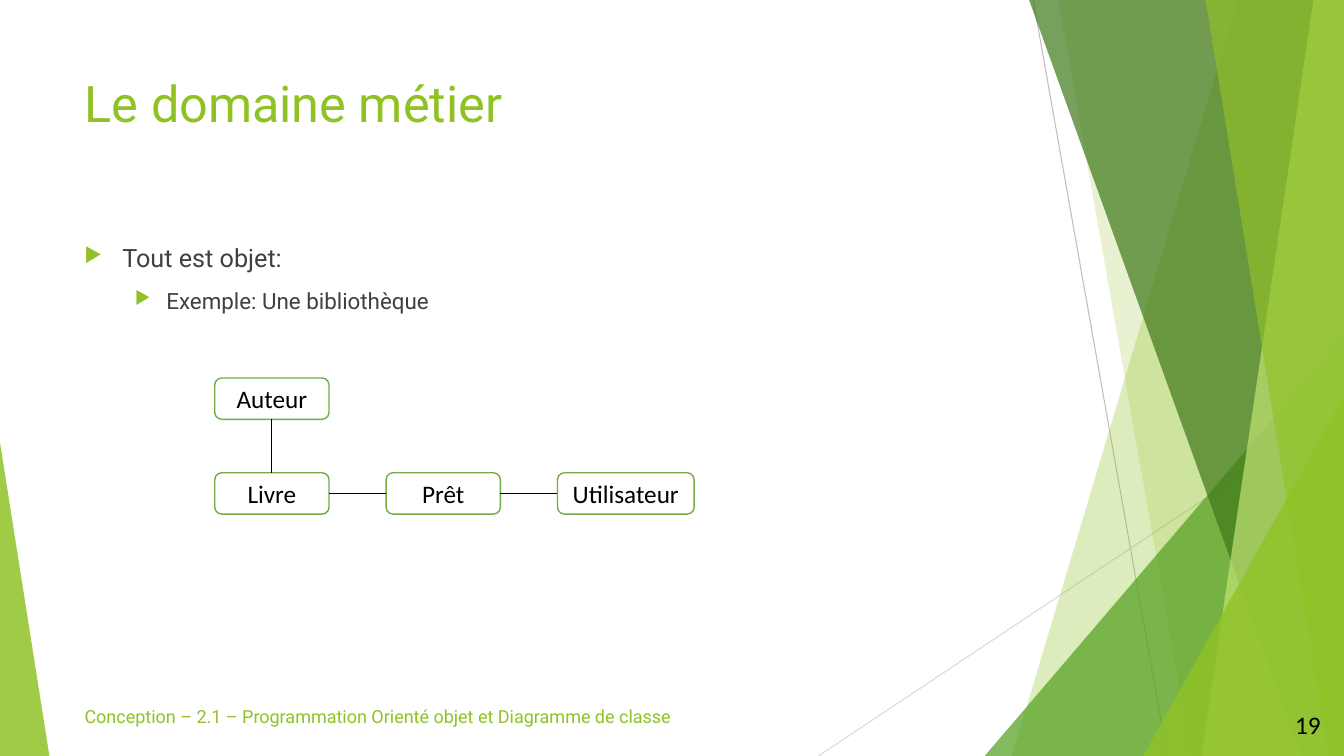
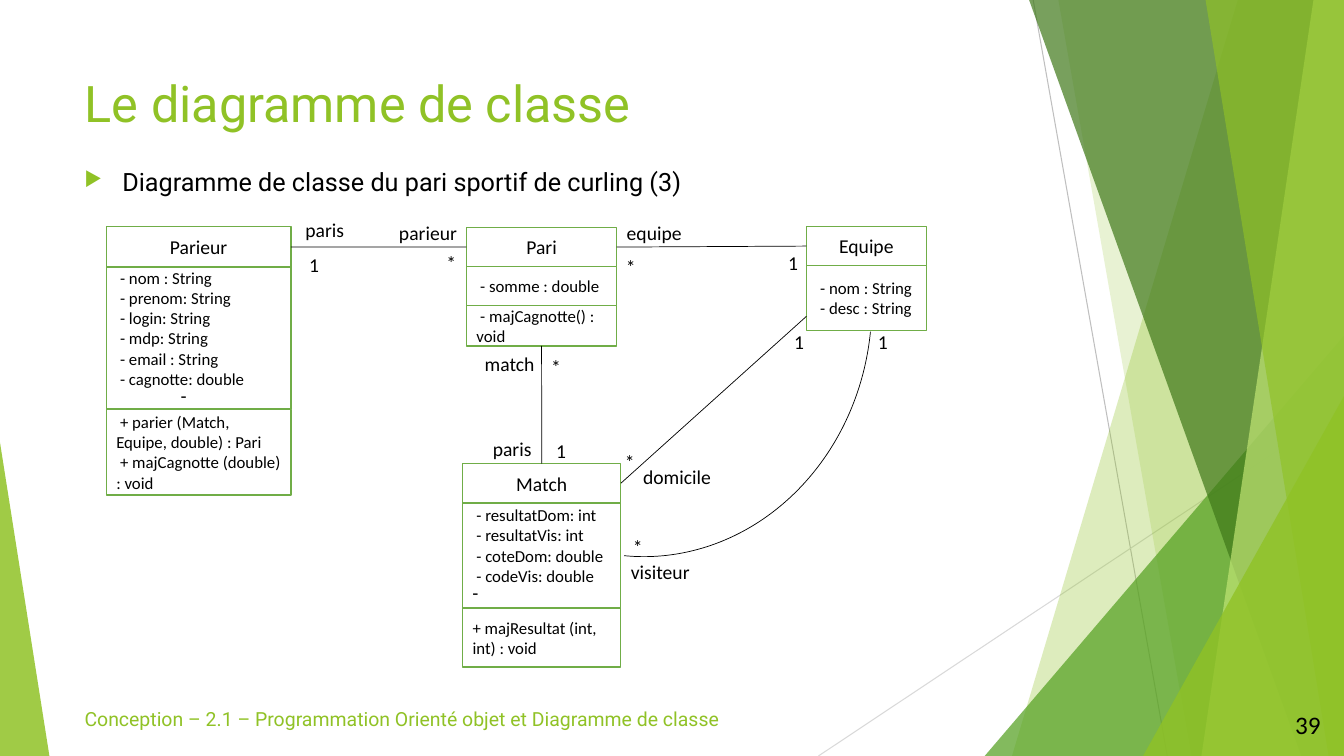
from lxml import etree
from pptx import Presentation
from pptx.dml.color import RGBColor
from pptx.enum.shapes import MSO_CONNECTOR, MSO_SHAPE
from pptx.enum.text import MSO_ANCHOR, PP_ALIGN
from pptx.oxml.ns import qn
from pptx.util import Pt

STRAIGHT = MSO_CONNECTOR.STRAIGHT
RECT, ROUNDED, ARC = MSO_SHAPE.RECTANGLE, MSO_SHAPE.ROUNDED_RECTANGLE, MSO_SHAPE.ARC
TOP, MIDDLE = MSO_ANCHOR.TOP, MSO_ANCHOR.MIDDLE
LEFT, CENTER, RIGHT = PP_ALIGN.LEFT, PP_ALIGN.CENTER, PP_ALIGN.RIGHT
SIDE_TOP, SIDE_LEFT, SIDE_BOTTOM, SIDE_RIGHT = range(4)

GREEN = RGBColor(0x90, 0xC2, 0x26)
MID_GREEN = RGBColor(0x54, 0xA0, 0x21)
DARK_GREEN = RGBColor(0x3F, 0x78, 0x19)
PALE_GREEN = RGBColor(0xC0, 0xE4, 0x74)
BOX_GREEN = RGBColor(0x70, 0xAD, 0x47)
WHITE = RGBColor(0xFF, 0xFF, 0xFF)
BLACK = RGBColor(0, 0, 0)
TEXT_GREY = RGBColor(0x40, 0x40, 0x40)
LINE_GREY = RGBColor(0xBF, 0xBF, 0xBF)
LIGHT_GREY = RGBColor(0xD9, 0xD9, 0xD9)

HEADING, PLAIN = "Roboto", "Calibri"
W, H = 960, 540
FOOTER = "Conception – 2.1 – Programmation Orienté objet et Diagramme de classe"

# x at the top, y at the top, x at the bottom, colour, opacity in %
RIGHT_BANDS = [
    (884.2, 0, 722.9, GREEN, 30),
    (756, 0, 851, GREEN, 20),
    (W, 239.8, 703.4, MID_GREEN, 72),
    (735.1, 0, 929.5, DARK_GREEN, 70),
    (938.2, 0, 858.2, PALE_GREEN, 70),
    (861.1, 0, 949, GREEN, 65),
    (W, 283, 816.5, GREEN, 80),
]


def points(*values):
    return [Pt(v) for v in values]


def add_run(p, text, size, font=PLAIN, color=BLACK):
    r = p.add_run()
    r.text = text
    r.font.size, r.font.name = Pt(size), font
    r.font.color.rgb = color


def add_bullet(p, char, color, left, hanging, percent=100):
    pPr = p._p.get_or_add_pPr()
    pPr.set("marL", str(Pt(left)))
    pPr.set("indent", str(-Pt(hanging)))
    clr = etree.SubElement(pPr, qn("a:buClr"))
    etree.SubElement(clr, qn("a:srgbClr"), val=str(color))
    etree.SubElement(pPr, qn("a:buSzPct"), val=str(percent * 1000))
    etree.SubElement(pPr, qn("a:buChar"), char=char)


def add_text_box(s, box, anchor=TOP):
    tf = s.shapes.add_textbox(*points(*box)).text_frame
    tf.word_wrap, tf.vertical_anchor = True, anchor
    return tf


def add_box(s, kind, box):
    """Add a white box with a green outline, ready for text."""
    sp = s.shapes.add_shape(kind, *points(*box))
    sp.shadow.inherit = False
    sp.fill.solid()
    sp.fill.fore_color.rgb = WHITE
    sp.line.color.rgb, sp.line.width = BOX_GREEN, Pt(1)
    sp.text_frame.word_wrap = True
    sp.text_frame.vertical_anchor = MIDDLE
    return sp


def add_line(s, x1=0, y1=0, x2=0, y2=0, color=BLACK, width=0.5):
    line = s.shapes.add_connector(STRAIGHT, *points(x1, y1, x2, y2))
    line.line.color.rgb, line.line.width = color, Pt(width)
    etree.SubElement(line.element.spPr, qn("a:effectLst"))
    return line


def join(s, first, first_side, second, second_side):
    line = add_line(s)
    line.begin_connect(first, first_side)
    line.end_connect(second, second_side)


def add_polygon(s, corners, color, opacity):
    start, *others = [points(*c) for c in corners]
    builder = s.shapes.build_freeform(*start)
    builder.add_line_segments(others)
    sp = builder.convert_to_shape()
    sp.shadow.inherit = False
    sp.fill.solid()
    sp.fill.fore_color.rgb = color
    sp.line.fill.background()
    clr = sp.element.xpath("./p:spPr/a:solidFill/a:srgbClr")[0]
    etree.SubElement(clr, qn("a:alpha"), val=str(opacity * 1000))
    return sp


def decorate_layout(layout, s):
    """Draw the green bands with slide s, then move them to its layout."""
    parts = [add_line(s, 738, 0, 833.8, H, LINE_GREY, 0.75),
             add_line(s, W, 290.2, 584.6, H, LIGHT_GREY, 0.75)]
    for x_top, y_top, x_bottom, color, opacity in RIGHT_BANDS:
        corners = [(x_top, y_top), (W, y_top), (W, H), (x_bottom, H)]
        parts.append(add_polygon(s, corners, color, opacity))
    parts.append(add_polygon(s, [(0, H), (0, 316.1), (35.3, H)], GREEN, 85))
    for number, part in enumerate(parts, start=100):
        part.element.xpath(".//p:cNvPr")[0].set("id", str(number))
        layout.shapes.element.append(part.element)


def add_frame(s, title, number, footer_width, footer_size, footer_spacing):
    """Fill in the title, the footer and the slide number."""
    sp = s.shapes.title
    sp.left, sp.top, sp.width, sp.height = points(53.3, 48.2, 676.8, 103.7)
    tf = sp.text_frame
    tf.vertical_anchor = TOP
    tf.paragraphs[0].alignment = LEFT
    add_run(tf.paragraphs[0], title, 36, HEADING, GREEN)

    p = add_text_box(s, (53.3, 503.3, footer_width, 28.8)).paragraphs[0]
    p.line_spacing = footer_spacing
    add_run(p, FOOTER, footer_size, HEADING, GREEN)

    p = add_text_box(s, (896.4, 503.3, 54, 28.8), MIDDLE).paragraphs[0]
    p.alignment = RIGHT
    add_run(p, number, 18)


def add_body(s, box, lines, color):
    """Write one bulleted line per level."""
    tf = add_text_box(s, box)
    styles = [(18, 27, 27), (16, 58.5, 22.5)]
    for level, (text, (size, left, hanging)) in enumerate(zip(lines, styles)):
        p = tf.add_paragraph() if level else tf.paragraphs[0]
        p.level, p.space_before = level, Pt(10)
        add_bullet(p, "▶", GREEN, left, hanging, 80)
        add_run(p, text, size, HEADING, color)


def add_library_diagram(s, x, y):
    width, height, row = 81.6, 29.5, 67.7
    pitch = width * 1.5

    def node(text, column, line, w=width):
        sp = add_box(s, ROUNDED, (x + column * pitch, y + line * row, w, height))
        p = sp.text_frame.paragraphs[0]
        p.alignment = CENTER
        add_run(p, text, 18)
        return sp

    author, book = node("Auteur", 0, 0), node("Livre", 0, 1)
    loan, user = node("Prêt", 1, 1), node("Utilisateur", 2, 1, 97.6)
    join(s, author, SIDE_BOTTOM, book, SIDE_TOP)
    join(s, book, SIDE_RIGHT, loan, SIDE_LEFT)
    join(s, loan, SIDE_RIGHT, user, SIDE_LEFT)


def add_class(s, x, y, w, name, head_height, *parts, dash=None):
    """Stack a heading and (height, lines) parts; dash ends the attributes."""
    head = add_box(s, RECT, (x, y, w, head_height))
    p = head.text_frame.paragraphs[0]
    p.alignment = CENTER
    add_run(p, name, 14)
    boxes = [head]
    y += head_height
    for height, lines in parts:
        sp = add_box(s, RECT, (x, y, w, height))
        tf = sp.text_frame
        for i, text in enumerate(lines):
            p = tf.add_paragraph() if i else tf.paragraphs[0]
            p.alignment = LEFT
            add_run(p, text, 12)
        if dash and len(boxes) == 1:
            align, indent = dash
            p = tf.add_paragraph()
            p.alignment = align
            add_bullet(p, "-", BLACK, indent, indent)
            add_run(p, " ", 12)
        boxes.append(sp)
        y += height
    return boxes


def add_betting_diagram(s, x, y):
    bettor = add_class(
        s, x, y, 131.8, "Parieur", 28.8,
        (101.5, [" - nom : String", " - prenom: String", " - login: String",
                 " - mdp: String", " - email : String", " - cagnotte: double"]),
        (61.2, [" + parier (Match, Equipe, double) : Pari",
                " + majCagnotte (double) : void"]),
        dash=(CENTER, 22.5))
    bet = add_class(s, x + 257.2, y + 0.7, 107.3, "Pari", 27.6,
                    (28, [" - somme : double"]),
                    (28.8, [" - majCagnotte() : void"]))
    match = add_class(
        s, x + 254.5, y + 169.2, 113, "Match", 28,
        (75, [" - resultatDom: int", " - resultatVis: int",
              " - coteDom: double", " - codeVis: double"]),
        (42.4, ["+ majResultat (int, int) : void"]),
        dash=(LEFT, 13.5))
    team = add_class(s, x + 500, y, 85.7, "Equipe", 27.6,
                     (46.6, [" - nom : String", " - desc : String"]))

    join(s, bettor[0], SIDE_RIGHT, bet[0], SIDE_LEFT)
    join(s, bet[0], SIDE_RIGHT, team[0], SIDE_LEFT)
    join(s, bet[-1], SIDE_BOTTOM, match[0], SIDE_TOP)
    home = add_line(s, x + 367.5, y + 183.2, x + 500, y + 64)
    home.begin_connect(match[0], SIDE_RIGHT)

    visitor = s.shapes.add_shape(ARC, *points(x + 210.6, y - 100.1, 352.8, 319))
    visitor.rotation = 95.6
    visitor.shadow.inherit = False
    visitor.fill.background()
    visitor.line.color.rgb, visitor.line.width = BLACK, Pt(0.5)

    labels = [
        ("paris", 135, -10.1), ("1", 137.8, 15.1),
        ("parieur", 201.9, -7.9), ("*", 235.8, 13.7),
        ("equipe", 364.6, -7.9), ("*", 363.9, 16.6), ("1", 479.8, 13.7),
        ("match", 263.1, 85.7), ("*", 310.6, 87.8),
        ("paris", 268.9, 146.9), ("1", 314.2, 148.3),
        ("domicile", 376.2, 166.3), ("*", 363.2, 155.5), ("1", 484.2, 69.8),
        ("visiteur", 367.5, 234.7), ("*", 369, 216.7), ("1", 543.9, 69.8),
    ]
    for text, dx, dy in labels:
        width = 38 if len(text) == 1 else 70
        tf = add_text_box(s, (x + dx, y + dy, width, 24.5))
        add_run(tf.paragraphs[0], text, 14)


def main():
    prs = Presentation()
    prs.slide_width, prs.slide_height = points(W, H)
    layout = prs.slide_layouts[5]

    s = prs.slides.add_slide(layout)
    decorate_layout(layout, s)
    add_frame(s, "Le domaine métier", "19", 471.6, 12.9, 0.8)
    add_body(s, (53.3, 169.9, 676.8, 305.3),
             ["Tout est objet:", "Exemple: Une bibliothèque"], TEXT_GREY)
    add_library_diagram(s, 153.4, 270)

    s = prs.slides.add_slide(layout)
    add_frame(s, "Le diagramme de classe", "39", 527, 13.9, 0.9)
    add_body(s, (53.3, 115.2, 676.8, 37.4),
             ["Diagramme de classe du pari sportif de curling (3)"], BLACK)
    add_betting_diagram(s, 76, 162)

    prs.save("out.pptx")


if __name__ == "__main__":
    main()
